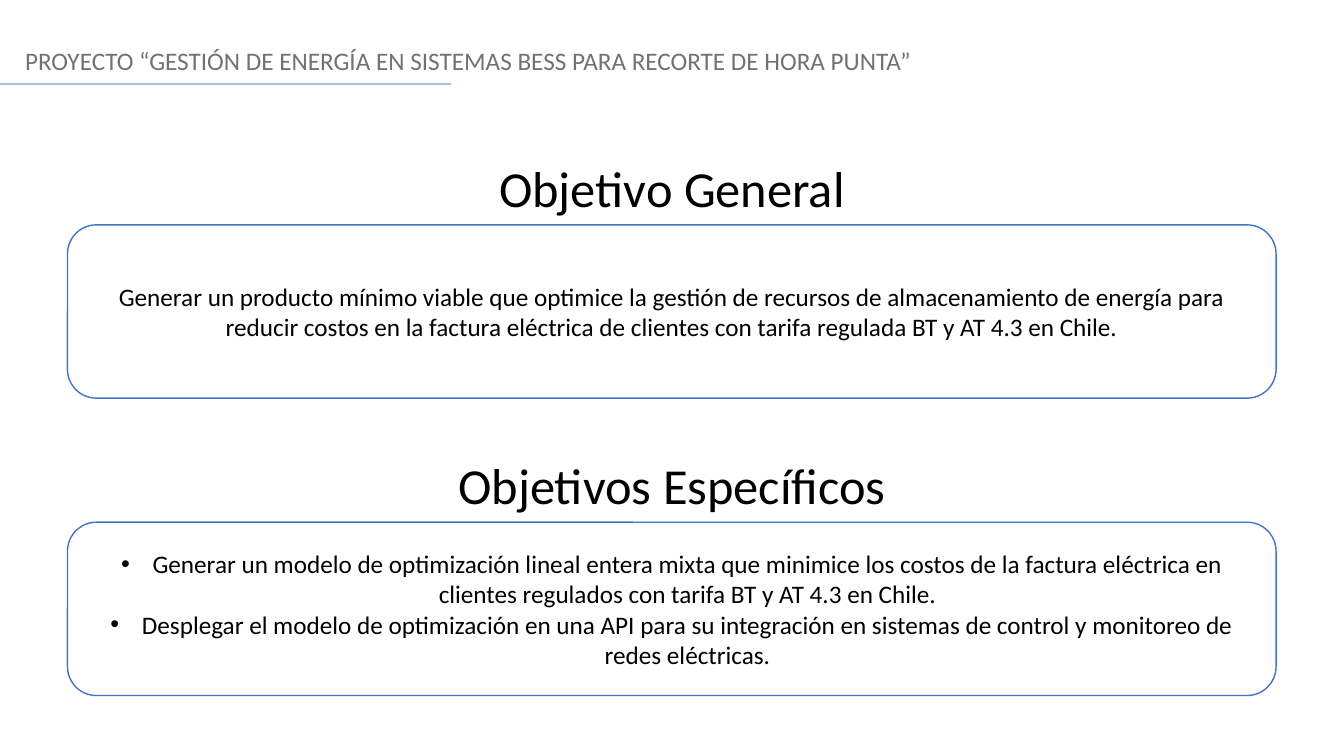
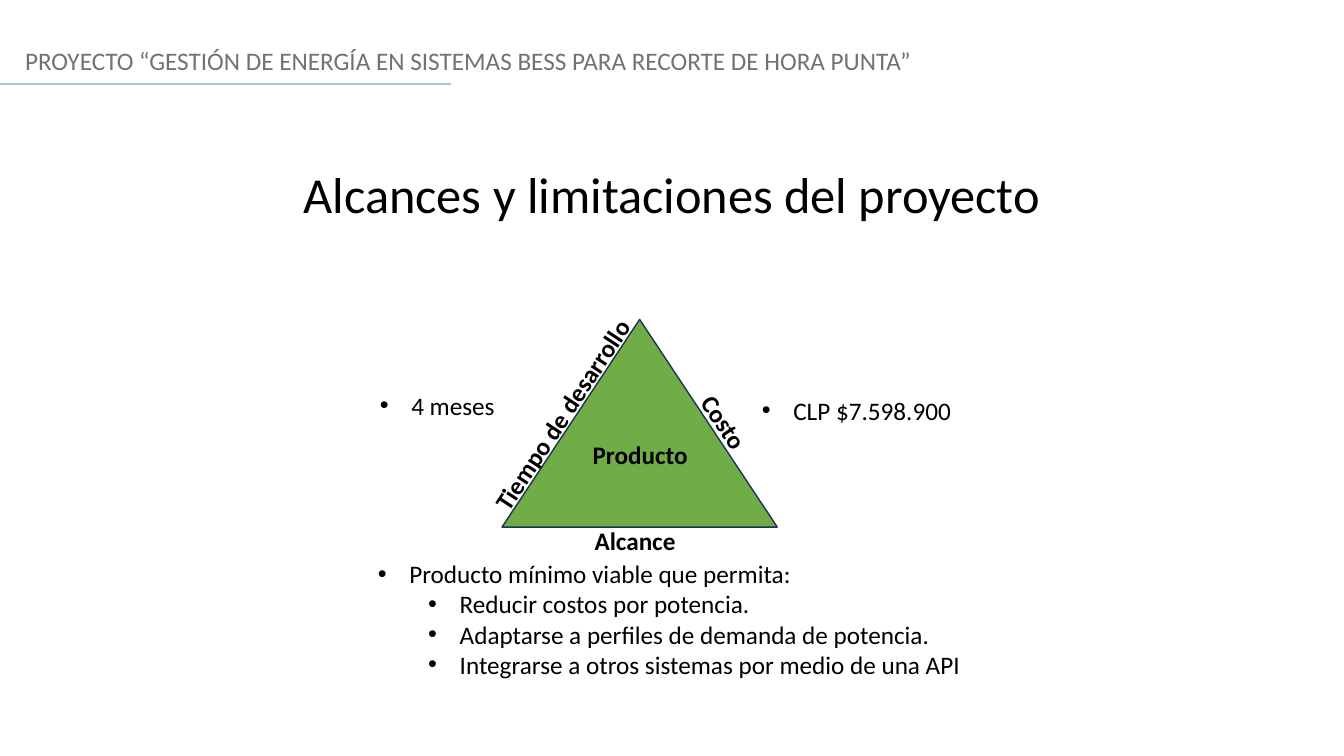
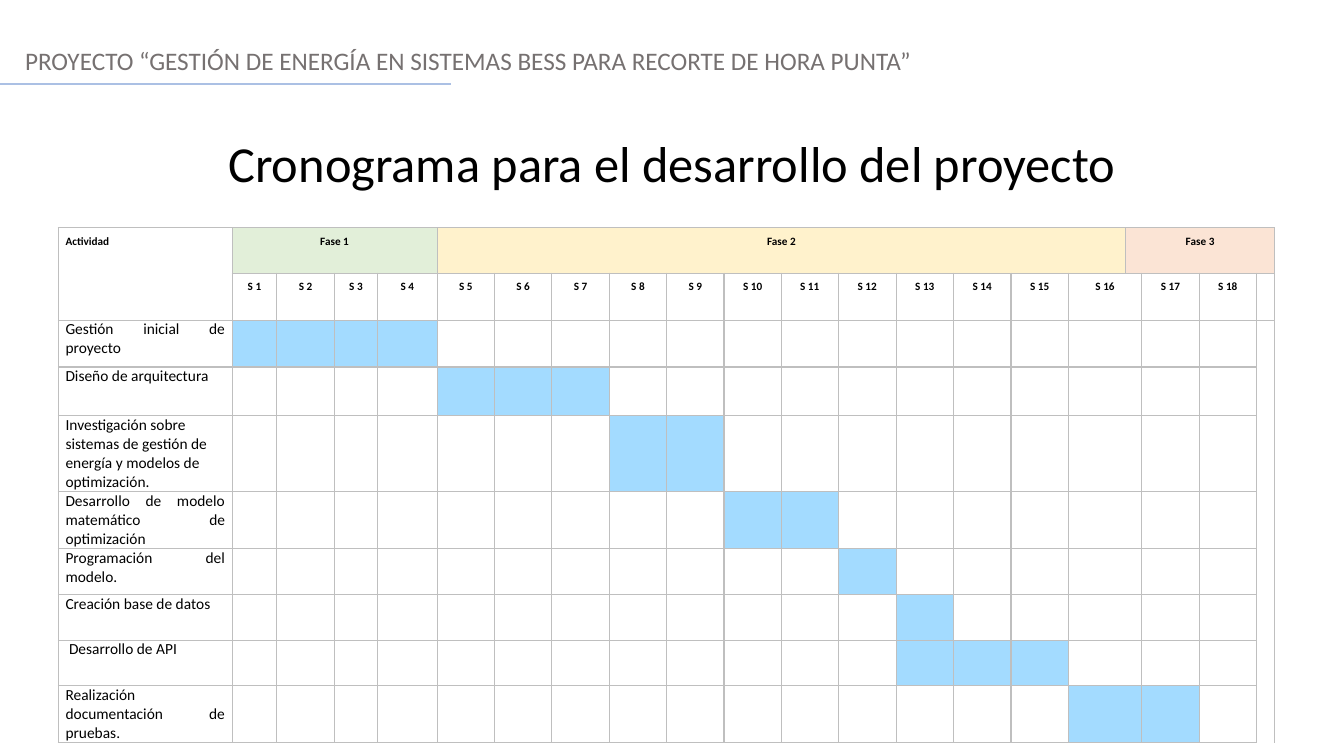
from dataclasses import dataclass
from typing import Optional

from lxml.etree import SubElement
from pptx import Presentation
from pptx.dml.color import RGBColor
from pptx.enum.shapes import MSO_CONNECTOR, MSO_SHAPE
from pptx.enum.text import MSO_ANCHOR, MSO_AUTO_SIZE, PP_ALIGN
from pptx.oxml.ns import qn
from pptx.util import Pt

FONT = "Calibri"
BLACK = RGBColor(0x00, 0x00, 0x00)
WHITE = RGBColor(0xFF, 0xFF, 0xFF)
GRAY = RGBColor(0x76, 0x71, 0x71)
RULE_BLUE = RGBColor(0xAB, 0xC0, 0xE4)
BOX_BLUE = RGBColor(0x44, 0x72, 0xC4)
GREEN = RGBColor(0x70, 0xAD, 0x47)
NAVY = RGBColor(0x1E, 0x32, 0x56)
GRID = RGBColor(0xBF, 0xBF, 0xBF)
WEEK_BLUE = RGBColor(0xA3, 0xDB, 0xFF)
PHASE_GREEN = RGBColor(0xE2, 0xEF, 0xD9)
PHASE_YELLOW = RGBColor(0xFF, 0xF2, 0xCC)
PHASE_ORANGE = RGBColor(0xFB, 0xE4, 0xD5)

SLIDE_W, SLIDE_H = 960, 540
HEADER = "PROYECTO “GESTIÓN DE ENERGÍA EN SISTEMAS BESS PARA RECORTE DE HORA PUNTA”"
HEADING_H = 51
BULLET_HANG = 22.5
LEVEL_STEP = 36
NO_STYLE = "{2D5ABB26-0587-4C30-8999-92F81FD0307C}"


@dataclass(frozen=True)
class Para:
    text: str
    size: float = 18
    bold: bool = False
    color: RGBColor = BLACK
    align: PP_ALIGN = PP_ALIGN.LEFT
    bullet: bool = False
    level: int = 0
    indent: float = 0
    line_spacing: Optional[float] = None
    after: float = 0


@dataclass(frozen=True)
class Label:
    x: float
    y: float
    w: float
    paras: tuple[Para, ...]
    h: float = 29
    rotation: float = 0


@dataclass(frozen=True)
class Objective:
    heading: str
    top: float
    paras: tuple[Para, ...]


@dataclass(frozen=True)
class Phase:
    name: str
    first_col: int
    last_col: int
    color: RGBColor


@dataclass(frozen=True)
class Activity:
    name: str
    first_week: int
    last_week: int
    height: float
    align: PP_ALIGN = PP_ALIGN.JUSTIFY
    indent: float = 0


OBJECTIVES = (
    Objective("Objetivo General", 108.7, (
        Para("Generar un producto mínimo viable que optimice la gestión de recursos de "
             "almacenamiento de energía para reducir costos en la factura eléctrica de "
             "clientes con tarifa regulada BT y AT 4.3 en Chile.", align=PP_ALIGN.CENTER),
    )),
    Objective("Objetivos Específicos", 321.1, (
        Para("Generar un modelo de optimización lineal entera mixta que minimice los costos "
             "de la factura eléctrica en clientes regulados con tarifa BT y AT 4.3 en Chile.",
             align=PP_ALIGN.CENTER, bullet=True),
        Para("Desplegar el modelo de optimización en una API para su integración en sistemas "
             "de control y monitoreo de redes eléctricas.", align=PP_ALIGN.CENTER, bullet=True),
    )),
)

SIDE_LABELS = (
    Label(313.2, 278.6, 180.7, (Para("Tiempo de desarrollo", bold=True),), rotation=303.5),
    Label(488.2, 288.7, 60.5, (Para("Costo", bold=True),), rotation=56.1),
    Label(262.8, 395.3, 455.8, (
        Para("Producto mínimo viable que permita:", bullet=True),
        Para("Reducir costos por potencia.", bullet=True, level=1),
        Para("Adaptarse a perfiles de demanda de potencia.", bullet=True, level=1),
        Para("Integrarse a otros sistemas por medio de una API", bullet=True, level=1),
    ), h=138),
)
FRONT_LABELS = (
    Label(417.6, 371.5, 119.5, (Para("Alcance", bold=True),)),
    Label(264.2, 275, 123.8, (Para("4 meses", bullet=True),)),
    Label(537.1, 278.6, 153.4, (Para("CLP $7.598.900", bullet=True),)),
    Label(416.2, 310.3, 82.8, (Para("Producto", bold=True),)),
)

PHASES = (
    Phase("Fase 1", 1, 4, PHASE_GREEN),
    Phase("Fase 2", 5, 16, PHASE_YELLOW),
    Phase("Fase 3", 17, 20, PHASE_ORANGE),
)
ACTIVITIES = (
    Activity("Gestión inicial de proyecto", 1, 4, 33.5),
    Activity("Diseño de arquitectura", 5, 7, 34.5),
    Activity("Investigación sobre sistemas de gestión de energía y modelos de optimización.",
             8, 9, 53, PP_ALIGN.LEFT),
    Activity("Desarrollo de modelo matemático de optimización", 10, 11, 40),
    Activity("Programación del modelo.", 12, 12, 33),
    Activity("Creación base de datos", 13, 13, 32.5),
    Activity("Desarrollo de API", 13, 15, 32.5, indent=2.5),
    Activity("Realización documentación de pruebas.", 16, 17, 40),
)
WEEKS = 18
SPLIT_WEEK = 16
COLS = [124, 32, 41, 31, 42.5] + [41] * 6 + [40.5, 41.5] + [41] * 4 + [11.5, 41, 41, 11.5]
HEAD_ROWS = [32.5, 33.5]


def write(tf, paras: tuple[Para, ...]) -> None:
    for i, para in enumerate(paras):
        p = tf.paragraphs[0] if i == 0 else tf.add_paragraph()
        p.alignment = para.align
        p.level = para.level
        p.space_before = Pt(0)
        p.space_after = Pt(para.after)
        if para.line_spacing:
            p.line_spacing = para.line_spacing
        pPr = p._p.get_or_add_pPr()
        if para.bullet:
            pPr.set("marL", str(Pt(BULLET_HANG + LEVEL_STEP * para.level)))
            pPr.set("indent", str(-Pt(BULLET_HANG)))
            SubElement(pPr, qn("a:buFont")).set("typeface", "Arial")
            SubElement(pPr, qn("a:buChar")).set("char", "•")
        elif para.indent:
            pPr.set("indent", str(Pt(para.indent)))
        r = p.add_run()
        r.text = para.text
        r.font.name = FONT
        r.font.size = Pt(para.size)
        r.font.bold = para.bold
        r.font.color.rgb = para.color


def fill_frame(tf, paras: tuple[Para, ...], anchor: MSO_ANCHOR = MSO_ANCHOR.TOP) -> None:
    tf.word_wrap = True
    tf.auto_size = MSO_AUTO_SIZE.NONE
    tf.vertical_anchor = anchor
    write(tf, paras)


def add_label(s, label: Label) -> None:
    sp = s.shapes.add_textbox(Pt(label.x), Pt(label.y), Pt(label.w), Pt(label.h))
    sp.rotation = label.rotation
    fill_frame(sp.text_frame, label.paras)


def add_panel(s, kind: MSO_SHAPE, x: float, y: float, w: float, h: float,
              fill: RGBColor, line: RGBColor):
    sp = s.shapes.add_shape(kind, Pt(x), Pt(y), Pt(w), Pt(h))
    sp.shadow.inherit = False
    sp.fill.solid()
    sp.fill.fore_color.rgb = fill
    sp.line.color.rgb = line
    sp.line.width = Pt(1)
    return sp


def heading_para(text: str) -> Para:
    return Para(text, size=36, align=PP_ALIGN.CENTER)


def add_slide(prs, title: str, top: float):
    s = prs.slides.add_slide(prs.slide_layouts[5])
    sp = s.shapes.title
    sp.left, sp.top, sp.width, sp.height = Pt(0), Pt(top), Pt(SLIDE_W), Pt(HEADING_H)
    fill_frame(sp.text_frame, (heading_para(title),))
    add_label(s, Label(10.8, 28.8, SLIDE_W, (Para(HEADER, color=GRAY),)))
    rule = s.shapes.add_connector(MSO_CONNECTOR.STRAIGHT, Pt(0), Pt(60), Pt(322), Pt(60))
    rule.line.color.rgb = RULE_BLUE
    rule.line.width = Pt(1.25)
    SubElement(rule._element.spPr, qn("a:effectLst"))
    return s


def objectives_slide(prs) -> None:
    first, *others = OBJECTIVES
    s = add_slide(prs, first.heading, first.top)
    for objective in others:
        add_label(s, Label(0, objective.top, SLIDE_W, (heading_para(objective.heading),), HEADING_H))
    for objective in OBJECTIVES:
        sp = add_panel(s, MSO_SHAPE.ROUNDED_RECTANGLE, 48.2, objective.top + 51.9, 863.3, 123.8,
                       WHITE, BOX_BLUE)
        fill_frame(sp.text_frame, objective.paras, MSO_ANCHOR.MIDDLE)


def scope_slide(prs) -> None:
    s = add_slide(prs, "Alcances y limitaciones del proyecto", 113)
    for label in SIDE_LABELS:
        add_label(s, label)
    add_panel(s, MSO_SHAPE.ISOSCELES_TRIANGLE, 358.6, 228.2, 196.6, 148.3, GREEN, NAVY)
    for label in FRONT_LABELS:
        add_label(s, label)


def set_borders(cell, sides: str) -> None:
    tcPr = cell._tc.get_or_add_tcPr()
    for side in sides:
        ln = SubElement(tcPr, qn(f"a:ln{side}"), w=str(Pt(1)))
        fill = SubElement(ln, qn("a:solidFill"))
        SubElement(fill, qn("a:srgbClr"), val=str(GRID))


def paint(cell, color: RGBColor) -> None:
    cell.fill.solid()
    cell.fill.fore_color.rgb = color


def head_para(text: str, align: PP_ALIGN = PP_ALIGN.CENTER) -> Para:
    return Para(text, size=8, bold=True, align=align, line_spacing=1.5, after=8)


def week_col(week: int) -> int:
    return week if week <= SPLIT_WEEK else week + 1


def schedule_slide(prs) -> None:
    s = add_slide(prs, "Cronograma para el desarrollo del proyecto", 90.7)
    heights = HEAD_ROWS + [a.height for a in ACTIVITIES]
    frame = s.shapes.add_table(len(heights), len(COLS), Pt(41.8), Pt(162.7),
                               Pt(sum(COLS)), Pt(sum(heights)))
    table = frame.table
    table.first_row = table.horz_banding = False
    table._tbl.tblPr.find(qn("a:tableStyleId")).text = NO_STYLE
    for column, width in zip(table.columns, COLS):
        column.width = Pt(width)
    last_col = len(COLS) - 1
    for i, (row, height) in enumerate(zip(table.rows, heights)):
        row.height = Pt(height)
        for j, cell in enumerate(row.cells):
            cell.margin_left = cell.margin_right = Pt(5)
            cell.margin_top = cell.margin_bottom = Pt(0)
            tail = "LT" if i == 1 else "L"
            set_borders(cell, tail if i and j == last_col else "LRTB")
            cell.fill.background()

    table.cell(0, 0).merge(table.cell(1, 0))
    write(table.cell(0, 0).text_frame, (head_para("Actividad", PP_ALIGN.JUSTIFY),))
    for phase in PHASES:
        cell = table.cell(0, phase.first_col)
        cell.merge(table.cell(0, phase.last_col))
        paint(cell, phase.color)
        write(cell.text_frame, (head_para(phase.name),))
    for i in range(1, len(heights)):
        table.cell(i, SPLIT_WEEK).merge(table.cell(i, SPLIT_WEEK + 1))
    for week in range(1, WEEKS + 1):
        write(table.cell(1, week_col(week)).text_frame, (head_para(f"S {week}"),))
    for i, activity in enumerate(ACTIVITIES, start=len(HEAD_ROWS)):
        write(table.cell(i, 0).text_frame,
              (Para(activity.name, size=11, align=activity.align,
                    indent=activity.indent, after=8),))
        for week in range(activity.first_week, activity.last_week + 1):
            paint(table.cell(i, week_col(week)), WEEK_BLUE)


def main() -> None:
    prs = Presentation()
    prs.slide_width, prs.slide_height = Pt(SLIDE_W), Pt(SLIDE_H)
    objectives_slide(prs)
    scope_slide(prs)
    schedule_slide(prs)
    prs.save("out.pptx")


if __name__ == "__main__":
    main()
